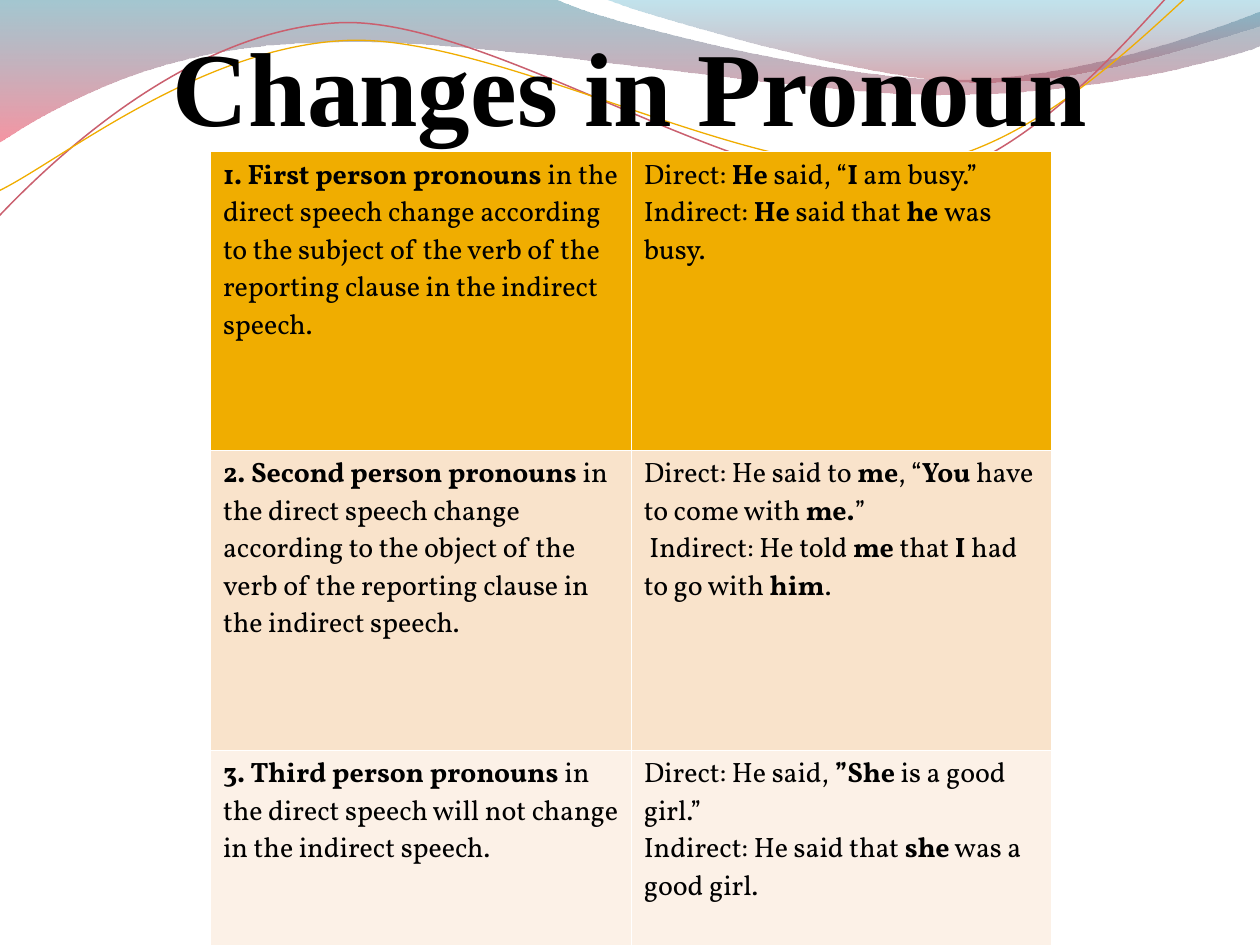
from math import cos, radians, sin

from lxml.etree import SubElement
from pptx import Presentation
from pptx.dml.color import RGBColor
from pptx.enum.text import MSO_ANCHOR, PP_ALIGN
from pptx.oxml.ns import qn
from pptx.util import Inches, Pt


def rgb(value):
    return RGBColor.from_string(value)


def add_curve(s, start, segments, close):
    """Outline of Bézier segments; a segment of one point is straight."""
    points = [(Inches(x), Inches(y)) for seg in segments for x, y in seg]
    builder = s.shapes.build_freeform(Inches(start[0]), Inches(start[1]))
    builder.add_line_segments(points, close=close)
    sp = builder.convert_to_shape()
    sp.shadow.inherit = False
    # Join the three points of each curved segment into one Bézier
    lines = iter(list(sp._element.iter(qn("a:lnTo"))))
    for seg in segments:
        first = next(lines)
        if len(seg) == 3:
            first.tag = qn("a:cubicBezTo")
            for _ in range(2):
                line = next(lines)
                first.append(line[0])
                line.getparent().remove(line)
    return sp


prs = Presentation()
prs.slide_width, prs.slide_height = Inches(10), Inches(7.5)
s = prs.slides.add_slide(prs.slide_layouts[5])

# Gradient waves: start, segments, (colour, opacity %) from top to bottom
waves = [
    ((0, -0.01),
     [[(4.4, -0.01)],
      [(4.76, 0.17), (6.64, 0.63), (7.58, 0.63)],
      [(8.53, 0.63), (9.58, 0.26), (10, 0.09)],
      [(10.01, 0.36)],
      [(9.83, 0.44), (8.7, 0.76), (7.46, 0.75)],
      [(6.22, 0.75), (3.82, 0.28), (2.57, 0.34)],
      [(1.29, 0.35), (0.46, 0.83), (-0.01, 1.13)],
      [(0, -0.01)]],
     [("3C899D", 47), ("EF435B", 57)]),
    ((4.79, -0.01),
     [[(5.09, 0.11), (6.82, 0.62), (7.69, 0.65)],
      [(8.56, 0.69), (9.61, 0.32), (10, 0.21)],
      [(10, 0)],
      [(4.79, -0.01)]],
     [("40AAC7", 32), ("B64050", 47)]),
]
for start, segments, stops in waves:
    sp = add_curve(s, start, segments, True)
    sp.line.fill.background()
    sp.fill.gradient()
    sp.fill.gradient_angle = 270
    for stop, (color, _) in zip(sp.fill.gradient_stops, stops):
        stop.color.rgb = rgb(color)
    for clr, (_, opacity) in zip(sp._element.spPr.iter(qn("a:srgbClr")), stops):
        SubElement(clr, qn("a:alpha"), val=str(opacity * 1000))

# Thin wave lines, tilted 3 degrees about their centres
wave_lines = [
    ((4.98, 0.575),
     [[(-0.04, 1.75)],
      [(0.43, 1.25), (1.51, 0.23), (2.71, 0.18)],
      [(3.91, 0.14), (5.97, 1.62), (7.18, 1.46)],
      [(8.39, 1.3), (9.4, -0.32), (9.99, -0.78)]], "CA5F6E", 0.85),
    ((4.995, 0.625),
     [[(-0.04, 1.53)],
      [(0.43, 1.32), (1.57, 0.36), (2.78, 0.32)],
      [(3.99, 0.29), (6.01, 1.47), (7.21, 1.32)],
      [(8.42, 1.18), (9.43, -0.15), (10.02, -0.53)]], "F0AD00", 0.75),
]
c, d = cos(radians(3)), sin(radians(3))
for (cx, cy), segments, color, width in wave_lines:
    level = [[(cx + (x - cx) * c - (y - cy) * d, cy + (x - cx) * d + (y - cy) * c)
              for x, y in seg] for seg in segments]
    sp = add_curve(s, level[0][0], level[1:], False)
    sp.rotation = 357
    sp.fill.background()
    sp.line.color.rgb = rgb(color)
    sp.line.width = Pt(width)

# Title, moved in front of the waves
title = s.shapes.title
s.shapes._spTree.append(title._element)
title.left, title.top, title.width, title.height = Inches(0.5), Inches(0.13), Inches(9), Inches(1.08)
tf = title.text_frame
tf.margin_left = tf.margin_top = tf.margin_right = tf.margin_bottom = 0
tf.vertical_anchor = MSO_ANCHOR.MIDDLE
p = tf.paragraphs[0]
p.text = "Changes in Pronoun"
p.alignment = PP_ALIGN.CENTER
p.font.name, p.font.size, p.font.bold = "Times New Roman", Pt(60), True
p.font.color.rgb = rgb("000000")

# Table of rules and examples; ** switches bold on and off
rows = [
    ("F0AD00", 2.37,
     "**1. First person pronouns** in the direct speech change according to the subject "
     "of the verb of the reporting clause in the indirect speech.",
     "Direct:** He** said, “**I** am busy.”\nIndirect:** He** said that **he **was busy."),
    ("F9E3CB", 2.38,
     "**2. Second person pronouns** in the direct speech change according to the object "
     "of the verb of the reporting clause in the indirect speech.",
     "Direct: He said to **me**, “**You** have to come with **me.**”\n"
     " Indirect: He told **me** that** I **had to go with **him**."),
    ("FCF1E7", 1.55,
     "**3. Third person pronouns **in the direct speech will not change in the indirect speech.",
     "Direct: He said, **”She** is a good girl.”\nIndirect: He said that **she** was a good girl."),
]
table = s.shapes.add_table(3, 2, Inches(1.67), Inches(1.2), Inches(6.67), Inches(6.3)).table
table.first_row = table.horz_banding = False
table.columns[0].width, table.columns[1].width = Inches(3.34), Inches(3.33)
for i, (fill, height, *texts) in enumerate(rows):
    table.rows[i].height = Inches(height)
    for j, text in enumerate(texts):
        cell = table.cell(i, j)
        # White borders, wider between the first two rows
        tcPr = cell._tc.get_or_add_tcPr()
        for side in ("lnL", "lnR", "lnT", "lnB"):
            width = 0.34 if (i, side) in ((0, "lnB"), (1, "lnT")) else 0.11
            ln = SubElement(tcPr, qn("a:" + side), w=str(Pt(width)))
            SubElement(SubElement(ln, qn("a:solidFill")), qn("a:srgbClr"), val="FFFFFF")
        cell.fill.solid()
        cell.fill.fore_color.rgb = rgb(fill)
        p = cell.text_frame.paragraphs[0]
        p.line_spacing = 0.96
        p.font.name, p.font.size = "Vollkorn", Pt(16)
        p.font.color.rgb = rgb("000000")
        for k, part in enumerate(text.split("**")):
            for n, line in enumerate(part.split("\n")):
                if n:
                    p.add_line_break()
                if line:
                    r = p.add_run()
                    r.text = line
                    r.font.bold = k % 2 == 1

prs.save("out.pptx")
